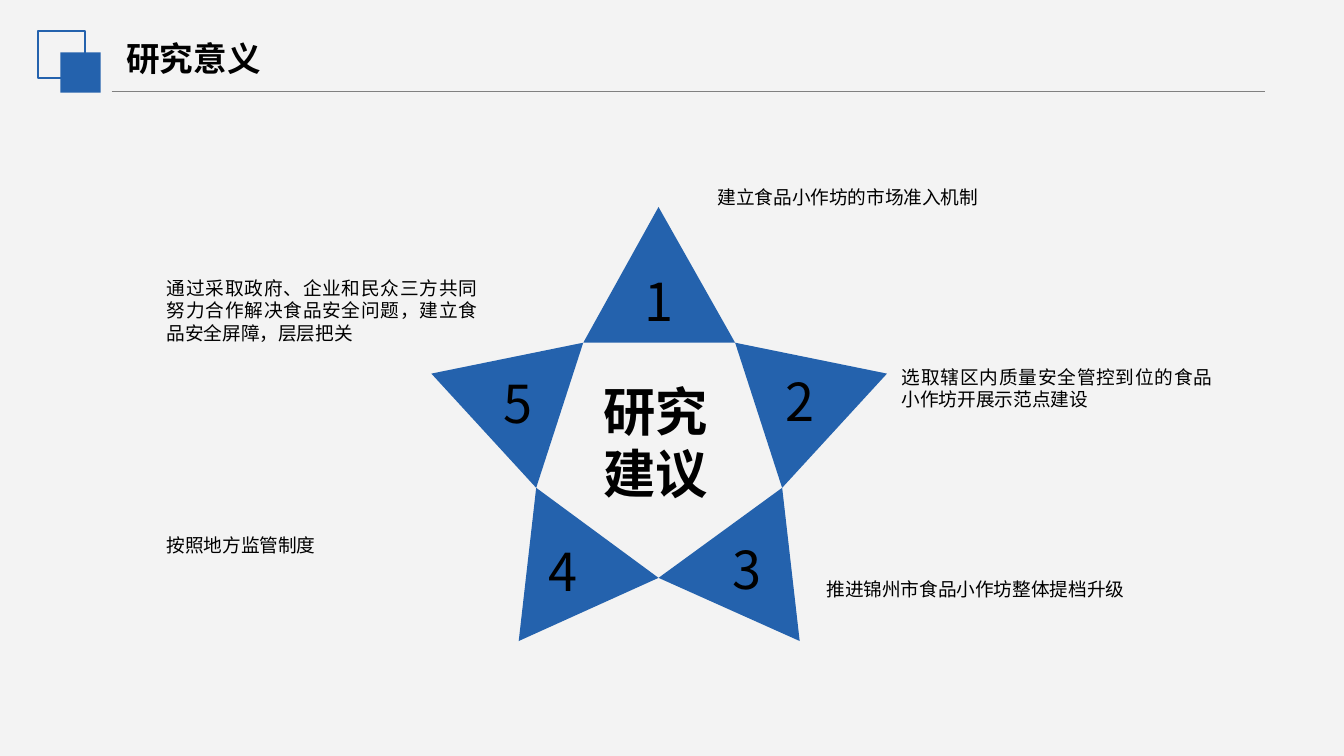
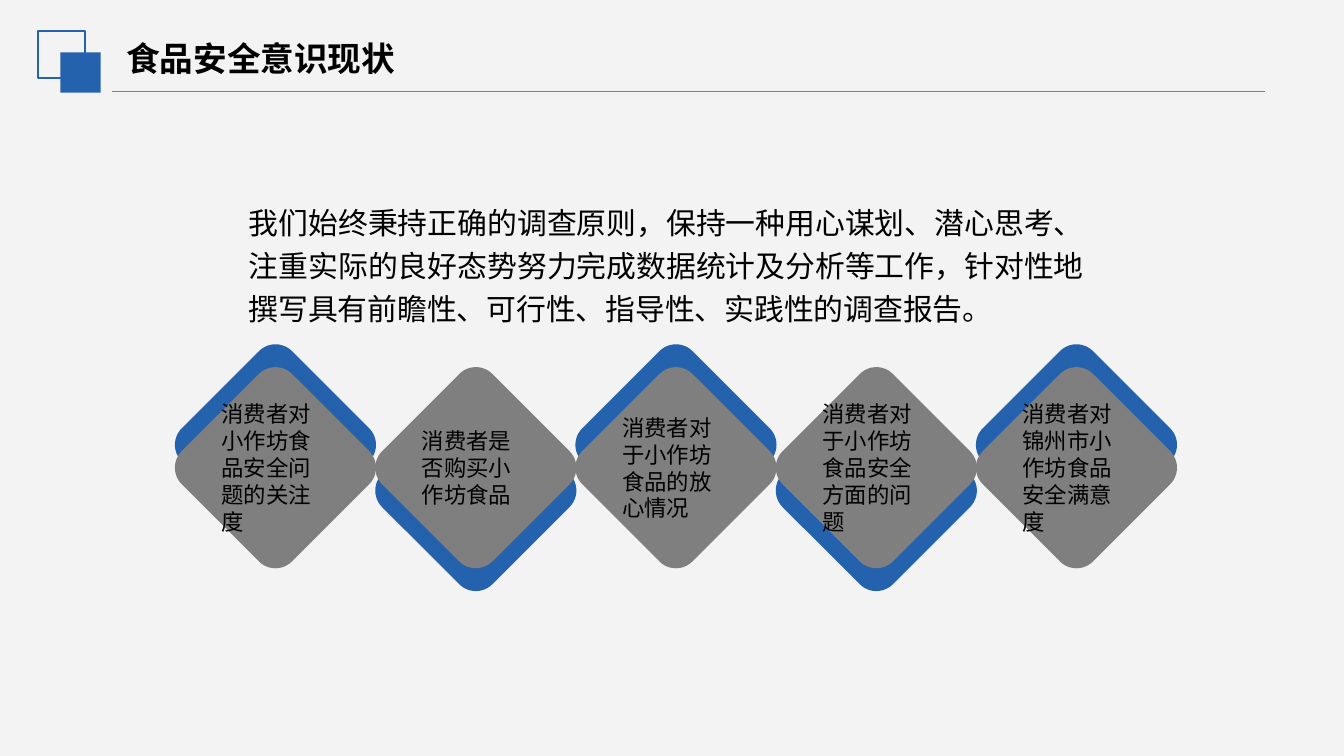
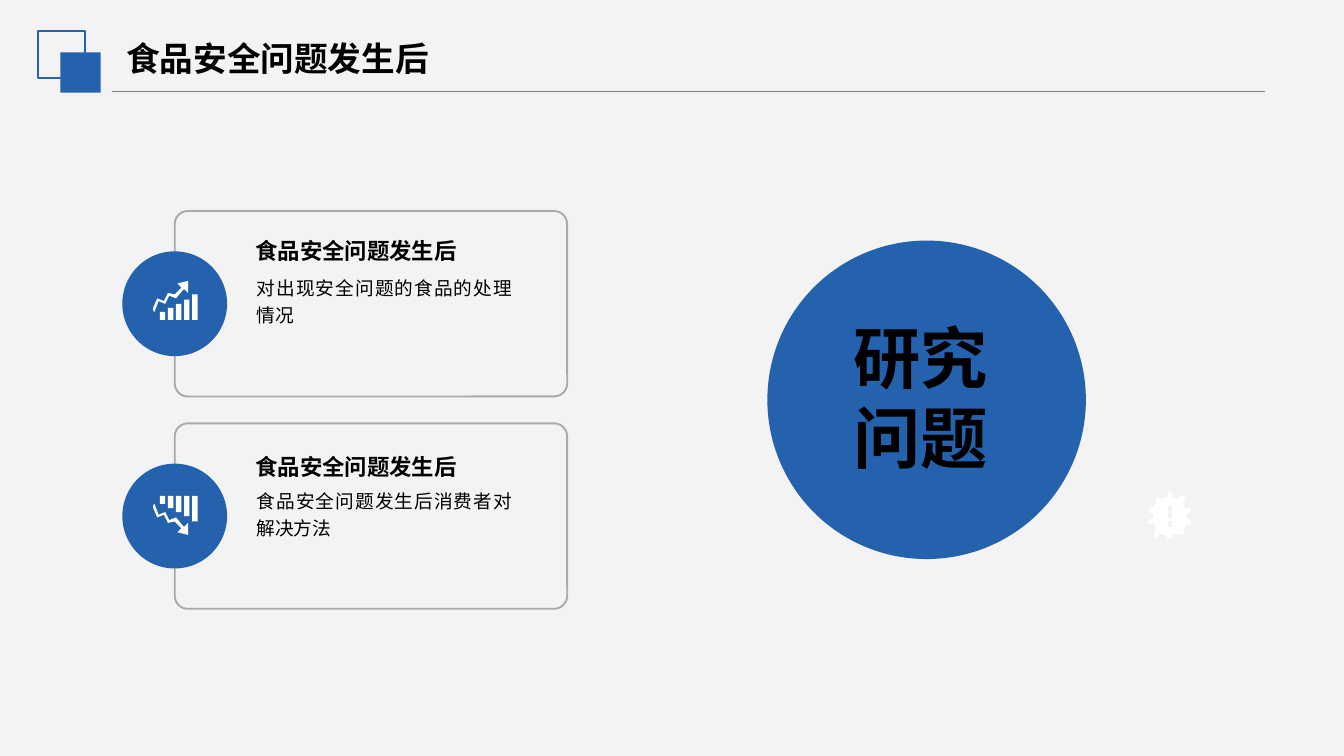
import pptx
import pptx.dml.color
import pptx.enum.shapes
import pptx.enum.text
import pptx.oxml.ns
import pptx.util
from lxml import etree
from pptx.util import Inches

SHAPE = pptx.enum.shapes.MSO_SHAPE
ALIGN = pptx.enum.text.PP_ALIGN
ANCHOR = pptx.enum.text.MSO_ANCHOR

BLUE, GRAY, RULE_GRAY, BORDER_GRAY = "2462AD", "7F7F7F", "808080", "A6AAA9"
BACKGROUND, WHITE, BLACK = "F3F3F3", "FFFFFF", "000000"
CJK_FONT = "Noto Sans CJK SC"

# Star: each arm has its number, tip, number position, note and note box.
STAR_ARMS = [
    ("1", (4.9, 1.54), (4.71, 2), "建立食品小作坊的市场准入机制", (5.34, 1.38, 2.81, 0.17)),
    ("2", (6.6, 2.78), (5.76, 2.75), "选取辖区内质量安全管控到位的食品小作坊开展示范点建设",
     (6.71, 2.72, 2.31, 0.34)),
    ("3", (5.95, 4.77), (5.36, 4), "推进锦州市食品小作坊整体提档升级", (6.15, 4.3, 2.31, 0.17)),
    ("4", (3.86, 4.77), (3.99, 4.01), "按照地方监管制度", (1.24, 3.97, 2.31, 0.17)),
    ("5", (3.21, 2.78), (3.66, 2.76),
     "通过采取政府、企业和民众三方共同努力合作解决食品安全问题，建立食品安全屏障，层层把关",
     (1.24, 2.06, 2.31, 0.5)),
]
STAR_NOTCHES = [(4.34, 2.55), (5.47, 2.55), (5.82, 3.63), (4.9, 4.3), (3.99, 3.63)]

SURVEY_INTRO = ("我们始终秉持正确的调查原则，保持一种用心谋划、潜心思考、注重实际的良好态势努力完成"
                "数据统计及分析等工作，针对性地撰写具有前瞻性、可行性、指导性、实践性的调查报告。")
SURVEY_TOPICS = [
    "消费者对小作坊食品安全问题的关注度",
    "消费者是否购买小作坊食品",
    "消费者对于小作坊食品的放心情况",
    "消费者对于小作坊食品安全方面的问题",
    "消费者对锦州市小作坊食品安全满意度",
]

# Cards: top, heading top, body top, heading, body, whether the chart icon points down.
CARDS = [
    (1.57, 1.68, 2.03, "食品安全问题发生后", "对出现安全问题的食品的处理情况", False),
    (3.15, 3.29, 3.61, "食品安全问题发生后", "食品安全问题发生后消费者对解决方法", True),
]

# Icon outlines, relative to the top left corner of each icon.
TREND_ICON_HEIGHT = 0.29
TREND_ARROW = [
    (0.12, 0.11), (0.17, 0.13), (0.22, 0.07), (0.23, 0.06), (0.26, 0.09), (0.26, 0),
    (0.18, 0.02), (0.21, 0.05), (0.16, 0.1), (0.11, 0.09), (0.08, 0.15), (0.03, 0.13),
    (0, 0.2), (0, 0.22), (0.01, 0.23), (0.04, 0.15), (0.09, 0.17),
]
TREND_BAR_TOPS = [0.23, 0.2, 0.17, 0.14, 0.1]
BADGE_EDGE = [
    (0.32, 0.22), (0.29, 0.19), (0.29, 0.16), (0.32, 0.14), (0.32, 0.12), (0.28, 0.12),
    (0.26, 0.09), (0.28, 0.03), (0.27, 0.02), (0.22, 0.05), (0.19, 0.04), (0.18, 0.01),
    (0.16, 0), (0.14, 0.04), (0.1, 0.05), (0.08, 0.04), (0.06, 0.05), (0.06, 0.08),
    (0.04, 0.11), (0.01, 0.12), (0, 0.14), (0.04, 0.16), (0.04, 0.19), (0, 0.22),
    (0.01, 0.24), (0.05, 0.24), (0.06, 0.27), (0.04, 0.33), (0.06, 0.34), (0.1, 0.31),
    (0.13, 0.32), (0.15, 0.35), (0.17, 0.35), (0.19, 0.32), (0.22, 0.31), (0.25, 0.32),
    (0.27, 0.31), (0.27, 0.28), (0.29, 0.25), (0.32, 0.24),
]


def color(hex_code):
    return pptx.dml.color.RGBColor.from_string(hex_code)


def box_outline(left, top, right, bottom):
    return [(right, bottom), (left, bottom), (left, top), (right, top)]


def style(shape, fill=None, line=None):
    shape.shadow.inherit = False
    if fill:
        shape.fill.solid()
        shape.fill.fore_color.rgb = color(fill)
    else:
        shape.fill.background()
    if line:
        shape.line.color.rgb = color(line)
        shape.line.width = pptx.util.Pt(1)
    else:
        shape.line.fill.background()


def add_shape(slide, kind, box, fill=None, line=None, corner=None, rotation=0):
    shape = slide.shapes.add_shape(kind, *map(Inches, box))
    style(shape, fill, line)
    shape.rotation = rotation
    if corner is not None:
        shape.adjustments[0] = corner


def add_outlines(slide, outlines, fill, origin=(0, 0)):
    """Draw one freeform from closed outlines placed relative to origin."""
    placed = [[(Inches(origin[0] + x), Inches(origin[1] + y)) for x, y in outline]
              for outline in outlines]
    builder = slide.shapes.build_freeform(*placed[0][0])
    builder.add_line_segments(placed[0][1:], close=True)
    for outline in placed[1:]:
        builder.move_to(*outline[0])
        builder.add_line_segments(outline[1:], close=True)
    style(builder.convert_to_shape(), fill)


def add_text(slide, text, box, size, font=CJK_FONT, bold=False, align=None, anchor=None,
             insets=(0, 0), grow=False, spacing=None, before=None):
    text_box = slide.shapes.add_textbox(*map(Inches, box))
    frame = text_box.text_frame
    frame.word_wrap = True
    frame.margin_left = frame.margin_right = Inches(insets[0])
    frame.margin_top = frame.margin_bottom = Inches(insets[1])
    if anchor is not None:
        frame.vertical_anchor = anchor
    if grow:
        frame.auto_size = pptx.enum.text.MSO_AUTO_SIZE.SHAPE_TO_FIT_TEXT
    paragraph = frame.paragraphs[0]
    paragraph.text = text
    paragraph.alignment = align
    paragraph.line_spacing = spacing
    if before is not None:
        paragraph.space_before = pptx.util.Pt(before)
    paragraph.font.size = pptx.util.Pt(size)
    paragraph.font.bold = bold
    paragraph.font.color.rgb = color(BLACK)
    paragraph.font.name = font
    properties = paragraph._p.pPr.find(pptx.oxml.ns.qn("a:defRPr"))
    etree.SubElement(properties, pptx.oxml.ns.qn("a:ea"), typeface=CJK_FONT)


def add_titled_slide(presentation, title, font, title_width=2.72):
    slide = presentation.slides.add_slide(presentation.slide_layouts[6])
    rule = slide.shapes.add_connector(
        pptx.enum.shapes.MSO_CONNECTOR.STRAIGHT,
        Inches(0.83), Inches(0.68), Inches(9.41), Inches(0.68))
    rule.line.color.rgb = color(RULE_GRAY)
    rule.line.width = pptx.util.Pt(0.75)
    etree.SubElement(rule._element.spPr, pptx.oxml.ns.qn("a:effectLst"))
    add_shape(slide, SHAPE.RECTANGLE, (0.28, 0.23, 0.35, 0.35), line=BLUE)
    add_shape(slide, SHAPE.RECTANGLE, (0.45, 0.39, 0.3, 0.3), fill=BLUE)
    add_text(slide, title, (0.94, 0.22, title_width, 0.42), 18, font, bold=True,
             anchor=ANCHOR.MIDDLE, insets=(0, 0.05))
    return slide


def build_star_slide(presentation):
    slide = add_titled_slide(presentation, "研究意义", CJK_FONT)
    next_notches = STAR_NOTCHES[1:] + STAR_NOTCHES[:1]
    for arm, notch, next_notch in zip(STAR_ARMS, STAR_NOTCHES, next_notches):
        number, tip, number_at, note, note_box = arm
        add_outlines(slide, [[next_notch, tip, notch]], BLUE)
        add_text(slide, number, (*number_at, 0.39, 0.47), 28, align=ALIGN.CENTER, grow=True)
        add_text(slide, note, note_box, 10, align=ALIGN.JUSTIFY, grow=True)
    add_text(slide, "研究建议", (4.34, 2.82, 1.08, 0.94), 28, bold=True,
             align=ALIGN.CENTER, grow=True)


def build_survey_slide(presentation):
    slide = add_titled_slide(presentation, "食品安全意识现状", "Lato")
    side, pitch, top, offset = 1.16, 1.49, 2.9, 0.17
    for index, topic in enumerate(SURVEY_TOPICS):
        left = 1.47 + index * pitch
        raised = index % 2 == 0
        rotation = 315 if raised else 135
        back_top = top - offset if raised else top + offset
        for diamond_top, fill in ((back_top, BLUE), (top, GRAY)):
            add_shape(slide, SHAPE.ROUNDED_RECTANGLE, (left, diamond_top, side, side),
                      fill, corner=0.15, rotation=rotation)
        add_text(slide, topic, (left + 0.08, 3.37, 0.99, 0.22), 12, "Calibri",
                 anchor=ANCHOR.MIDDLE, insets=(0.1, 0.05), before=2.4)
    add_text(slide, SURVEY_INTRO, (1.85, 1.47, 6.22, 0.93), 16, "Arial",
             align=ALIGN.JUSTIFY, grow=True, spacing=1.2)


def trend_icon(points_down):
    bars = [box_outline(0.05 + 0.06 * index, top, 0.09 + 0.06 * index, TREND_ICON_HEIGHT)
            for index, top in enumerate(TREND_BAR_TOPS)]
    outlines = [TREND_ARROW] + bars
    if points_down:
        return [[(x, TREND_ICON_HEIGHT - y) for x, y in outline] for outline in outlines]
    return outlines


def build_problem_slide(presentation):
    slide = add_titled_slide(presentation, "食品安全问题发生后", "Lato", 2.33)
    for top, heading_top, body_top, heading, body, points_down in CARDS:
        add_shape(slide, SHAPE.ROUNDED_RECTANGLE, (1.3, top, 2.92, 1.38),
                  line=BORDER_GRAY, corner=0.07)
        add_text(slide, body, (1.91, body_top, 1.9, 0.42), 10, "Calibri",
                 align=ALIGN.JUSTIFY, spacing=1.2, before=25)
        add_text(slide, heading, (1.9, heading_top, 1.53, 0.33), 12, bold=True,
                 anchor=ANCHOR.MIDDLE, spacing=1.2)
        add_shape(slide, SHAPE.OVAL, (0.91, top + 0.3, 0.78, 0.78), BLUE)
        icon_top = top + (0.54 if points_down else 0.52)
        add_outlines(slide, trend_icon(points_down), WHITE, (1.14, icon_top))
    add_shape(slide, SHAPE.OVAL, (5.71, 1.79, 2.37, 2.37), BLUE)
    add_text(slide, "研究问题", (6.18, 2.26, 1.34, 1.38), 36, bold=True,
             align=ALIGN.CENTER, anchor=ANCHOR.MIDDLE, before=10)
    exclamation = [box_outline(0.15, 0.1, 0.18, 0.2), box_outline(0.15, 0.22, 0.18, 0.26)]
    add_outlines(slide, exclamation + [BADGE_EDGE], WHITE, (8.54, 3.66))


def main():
    presentation = pptx.Presentation()
    presentation.slide_width = Inches(10)
    presentation.slide_height = presentation.slide_width * 9 // 16
    background = presentation.slide_master.background.fill
    background.solid()
    background.fore_color.rgb = color(BACKGROUND)
    build_star_slide(presentation)
    build_survey_slide(presentation)
    build_problem_slide(presentation)
    presentation.save("out.pptx")


if __name__ == "__main__":
    main()
